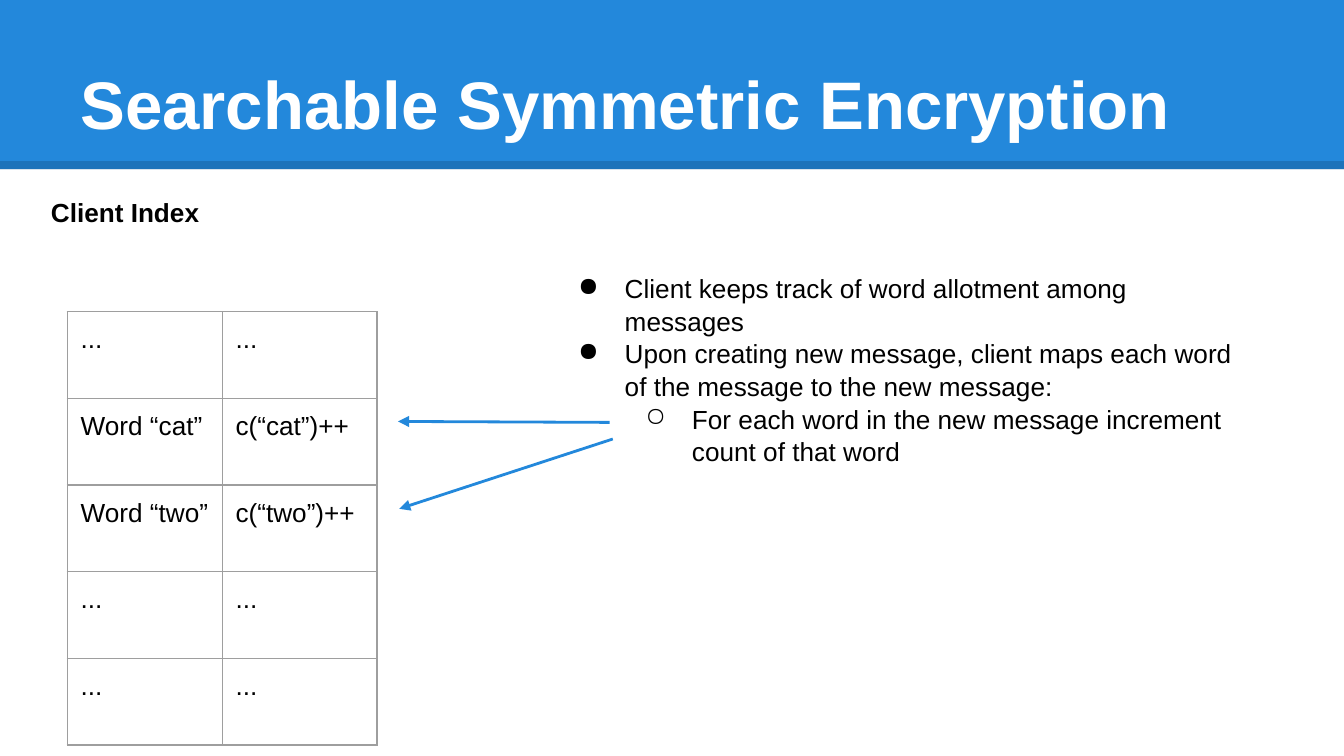
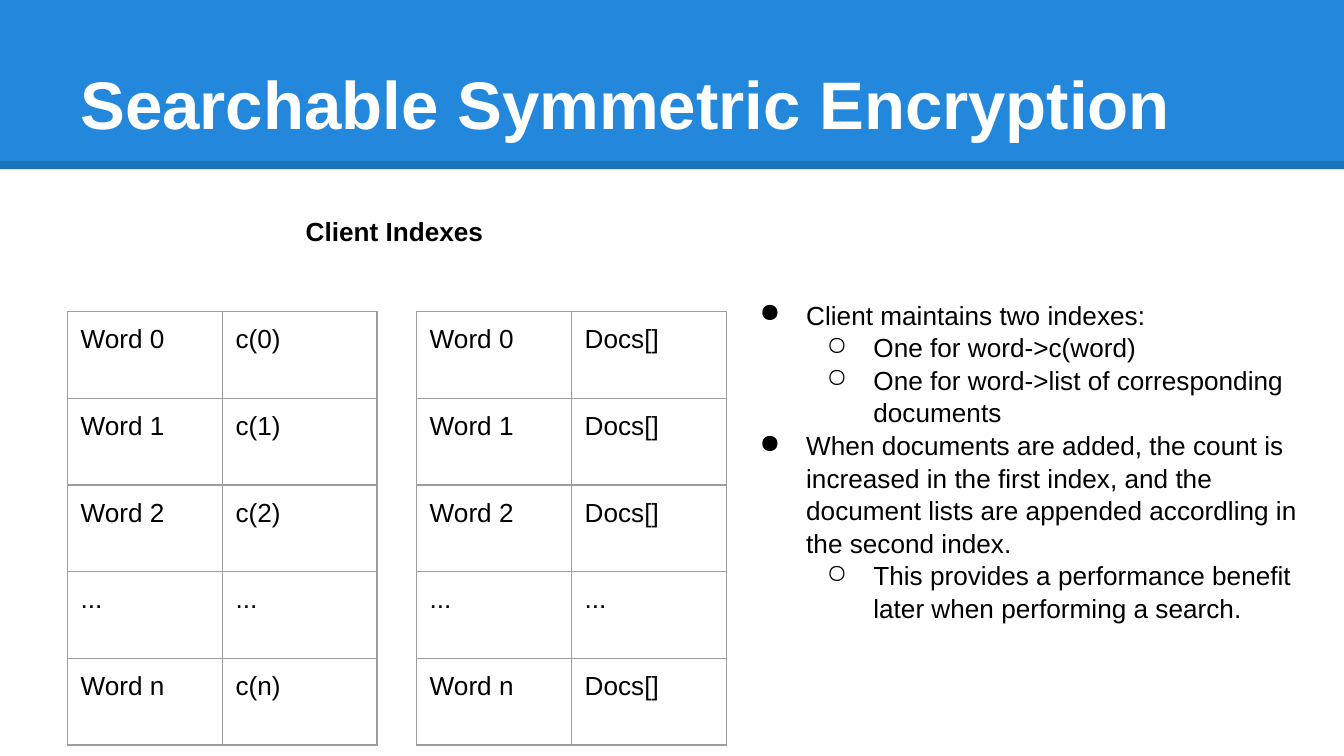
"""Two slides explaining the client side of searchable symmetric encryption."""
from typing import NamedTuple

from lxml import etree
from pptx import Presentation
from pptx.dml.color import RGBColor
from pptx.enum.shapes import MSO_CONNECTOR, MSO_SHAPE
from pptx.enum.text import MSO_ANCHOR
from pptx.oxml.ns import qn
from pptx.util import Pt

RECTANGLE = MSO_SHAPE.RECTANGLE
STRAIGHT = MSO_CONNECTOR.STRAIGHT
TOP, BOTTOM = MSO_ANCHOR.TOP, MSO_ANCHOR.BOTTOM

BLUE = RGBColor(0x23, 0x88, 0xDB)
BLACK = RGBColor(0x00, 0x00, 0x00)
WHITE = RGBColor(0xFF, 0xFF, 0xFF)
GRAY = "9E9E9E"

FONT = "Arial"
BODY_SIZE = 14
TITLE_SIZE = 36
PAGE_WIDTH, PAGE_HEIGHT = 720, 405
BAND_HEIGHT = 90.7
INSET = 7.2
LINE_SPACING = 1.045
TABLE_TOP = 167
COLUMN_WIDTH, ROW_HEIGHT = 83, 46.45
BULLETS = ("●", "○")
BULLET_STEP, BULLET_HANG = 36, 25

TITLE = "Searchable Symmetric Encryption"
ELLIPSIS_ROW = ("...", "...")


class Area(NamedTuple):
    """A rectangle in points."""
    left: float
    top: float
    width: float
    height: float


class Bullet(NamedTuple):
    """A list entry and its depth."""
    text: str
    level: int = 0


class Arrow(NamedTuple):
    """An arrow pointing from a start to an end, in points."""
    x1: float
    y1: float
    x2: float
    y2: float


class IndexTable(NamedTuple):
    """A two-column index and its left edge."""
    left: float
    rows: list[tuple[str, str]]


class IndexPage(NamedTuple):
    """Everything that differs between the slides."""
    heading: str
    heading_area: Area
    tables: list[IndexTable]
    bullets: list[Bullet]
    bullet_area: Area
    arrows: list[Arrow]


PAGES = [
    IndexPage(
        "Client Index", Area(20.2, 97.2, 299, 41),
        [IndexTable(36, [ELLIPSIS_ROW,
                         ("Word “cat”", "c(“cat”)++"),
                         ("Word “two”", "c(“two”)++"),
                         ELLIPSIS_ROW, ELLIPSIS_ROW])],
        [Bullet("Client keeps track of word allotment among messages"),
         Bullet("Upon creating new message, client maps each word of the "
                "message to the new message:"),
         Bullet("For each word in the new message increment count of that "
                "word", 1)],
        Area(291.6, 138.2, 382.3, 260.6),
        [Arrow(326.6, 226.3, 213.2, 225.8), Arrow(328.3, 235.2, 213.9, 272.6)],
    ),
    IndexPage(
        "Client Indexes", Area(156.7, 107.8, 299, 41),
        [IndexTable(36, [("Word 0", "c(0)"), ("Word 1", "c(1)"),
                         ("Word 2", "c(2)"), ELLIPSIS_ROW,
                         ("Word n", "c(n)")]),
         IndexTable(223, [("Word 0", "Docs[]"), ("Word 1", "Docs[]"),
                          ("Word 2", "Docs[]"), ELLIPSIS_ROW,
                          ("Word n", "Docs[]")])],
        [Bullet("Client maintains two indexes:"),
         Bullet("One for word->c(word)", 1),
         Bullet("One for word->list of corresponding documents", 1),
         Bullet("When documents are added, the count is increased in the "
                "first index, and the document lists are appended accordling "
                "in the second index."),
         Bullet("This provides a performance benefit later when performing a "
                "search.", 1)],
        Area(388.8, 152.3, 322.6, 260.6),
        [],
    ),
]


def style(paragraph, size: float = BODY_SIZE, color: RGBColor = BLACK,
          bold: bool = False) -> None:
    """Set the font of a whole paragraph."""
    font = paragraph.font
    font.name, font.size, font.bold = FONT, Pt(size), bold
    font.color.rgb = color


def add_box(page, area: Area, anchor=TOP):
    """Add a wrapping text box and return its text frame."""
    frame = page.shapes.add_textbox(*map(Pt, area)).text_frame
    frame.word_wrap = True
    frame.vertical_anchor = anchor
    frame.margin_left = frame.margin_right = Pt(INSET)
    frame.margin_top = frame.margin_bottom = Pt(INSET)
    return frame


def add_line(page, ends: Arrow, color: RGBColor, width: float):
    """Add a straight line without a shadow and return its a:ln element."""
    connector = page.shapes.add_connector(STRAIGHT, *map(Pt, ends))
    connector.line.color.rgb = color
    connector.line.width = Pt(width)
    properties = connector._element.spPr
    etree.SubElement(properties, qn("a:effectLst"))
    return properties.find(qn("a:ln"))


def add_arrow(page, arrow: Arrow) -> None:
    """Add a blue arrow."""
    line = add_line(page, arrow, BLUE, 1.5)
    etree.SubElement(line, qn("a:tailEnd"), type="triangle")


def add_title_band(page) -> None:
    """Add the blue band, its darker lower edge and the title."""
    band = page.shapes.add_shape(RECTANGLE, 0, 0, Pt(PAGE_WIDTH),
                                 Pt(BAND_HEIGHT))
    band.shadow.inherit = False
    band.fill.solid()
    band.fill.fore_color.rgb = BLUE
    band.line.fill.background()

    edge_y = BAND_HEIGHT - 2.2
    edge = add_line(page, Arrow(0, edge_y, PAGE_WIDTH, edge_y), BLACK, 4.5)
    color = edge.find(f".//{qn('a:srgbClr')}")
    etree.SubElement(color, qn("a:alpha"), val="15000")

    paragraph = add_box(page, Area(36, 16.5, 648, 67.5), BOTTOM).paragraphs[0]
    paragraph.text = TITLE
    style(paragraph, TITLE_SIZE, WHITE, bold=True)


def add_heading(page, text: str, area: Area) -> None:
    """Add the bold heading above the tables."""
    paragraph = add_box(page, area).paragraphs[0]
    paragraph.text = text
    paragraph.line_spacing = LINE_SPACING
    style(paragraph, bold=True)


def add_bullets(page, bullets: list[Bullet], area: Area) -> None:
    """Add a two-level bullet list."""
    frame = add_box(page, area)
    for number, bullet in enumerate(bullets):
        paragraph = frame.add_paragraph() if number else frame.paragraphs[0]
        paragraph.text = bullet.text
        paragraph.level = bullet.level
        paragraph.line_spacing = LINE_SPACING
        style(paragraph)
        properties = paragraph._p.get_or_add_pPr()
        properties.set("marL", str(Pt(BULLET_STEP * (bullet.level + 1))))
        properties.set("indent", str(-Pt(BULLET_HANG)))
        mark = etree.Element(qn("a:buChar"), char=BULLETS[bullet.level])
        properties.find(qn("a:defRPr")).addprevious(mark)


def set_borders(cell) -> None:
    """Draw a thin gray border on all sides of a cell."""
    properties = cell._tc.get_or_add_tcPr()
    for position, side in enumerate(("a:lnL", "a:lnR", "a:lnT", "a:lnB")):
        line = etree.Element(qn(side), w=str(Pt(0.75)))
        fill = etree.SubElement(line, qn("a:solidFill"))
        etree.SubElement(fill, qn("a:srgbClr"), val=GRAY)
        properties.insert(position, line)


def add_index(page, index: IndexTable) -> None:
    """Add a two-column index table."""
    row_count, column_count = len(index.rows), len(index.rows[0])
    table = page.shapes.add_table(
        row_count, column_count, Pt(index.left), Pt(TABLE_TOP),
        Pt(COLUMN_WIDTH * column_count), Pt(ROW_HEIGHT * row_count)).table
    table.first_row = table.horz_banding = False
    for column in table.columns:
        column.width = Pt(COLUMN_WIDTH)
    for row, texts in zip(table.rows, index.rows):
        row.height = Pt(ROW_HEIGHT)
        for cell, text in zip(row.cells, texts):
            cell.margin_left = cell.margin_right = Pt(INSET)
            cell.margin_top = cell.margin_bottom = Pt(INSET)
            cell.fill.background()
            set_borders(cell)
            paragraph = cell.text_frame.paragraphs[0]
            paragraph.text = text
            style(paragraph)


def build_page(deck, content: IndexPage) -> None:
    """Add one slide to the deck."""
    page = deck.slides.add_slide(deck.slide_layouts[6])
    add_title_band(page)
    for index in content.tables:
        add_index(page, index)
    add_heading(page, content.heading, content.heading_area)
    add_bullets(page, content.bullets, content.bullet_area)
    for arrow in content.arrows:
        add_arrow(page, arrow)


deck = Presentation()
deck.slide_width, deck.slide_height = Pt(PAGE_WIDTH), Pt(PAGE_HEIGHT)
for content in PAGES:
    build_page(deck, content)
deck.save("out.pptx")
